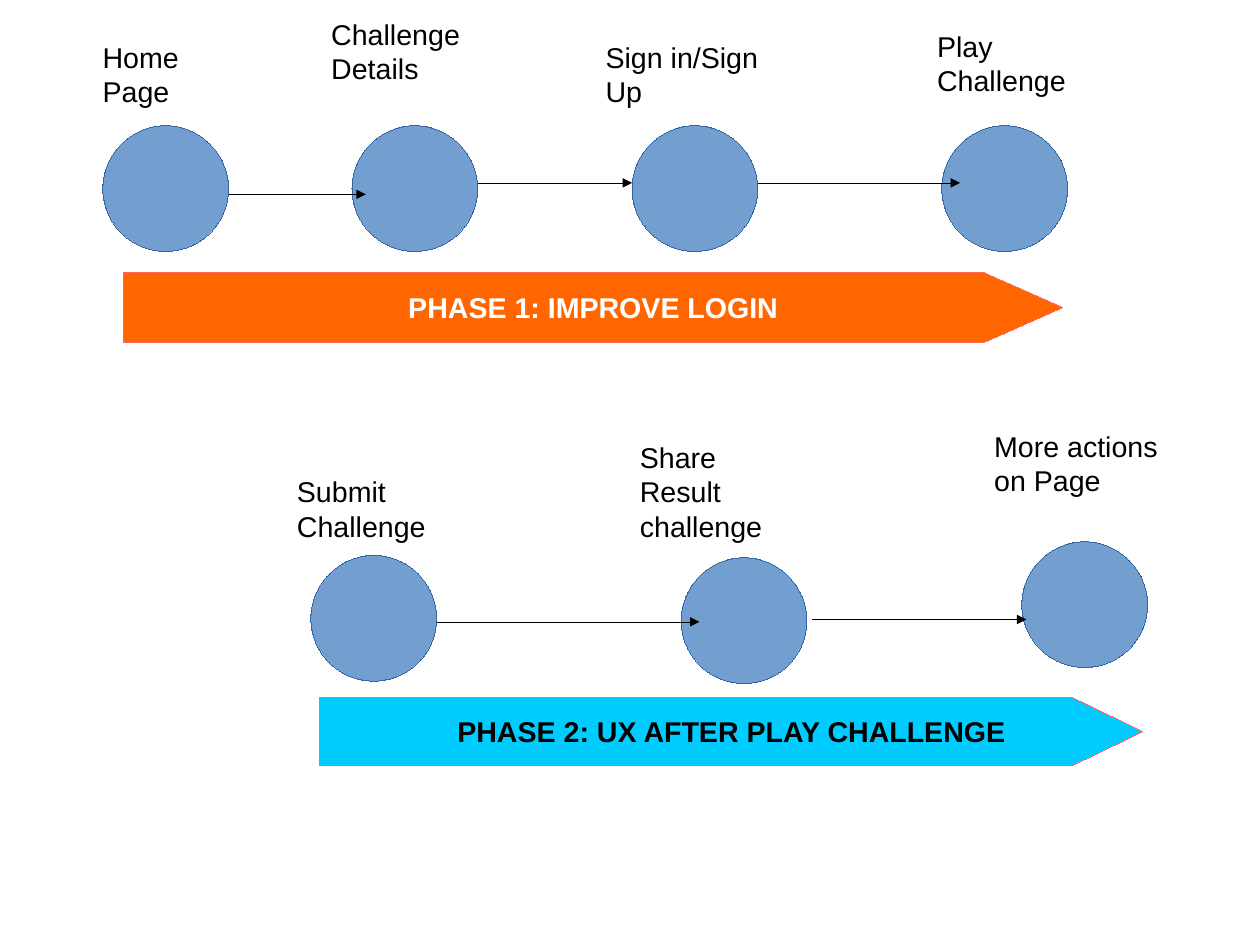
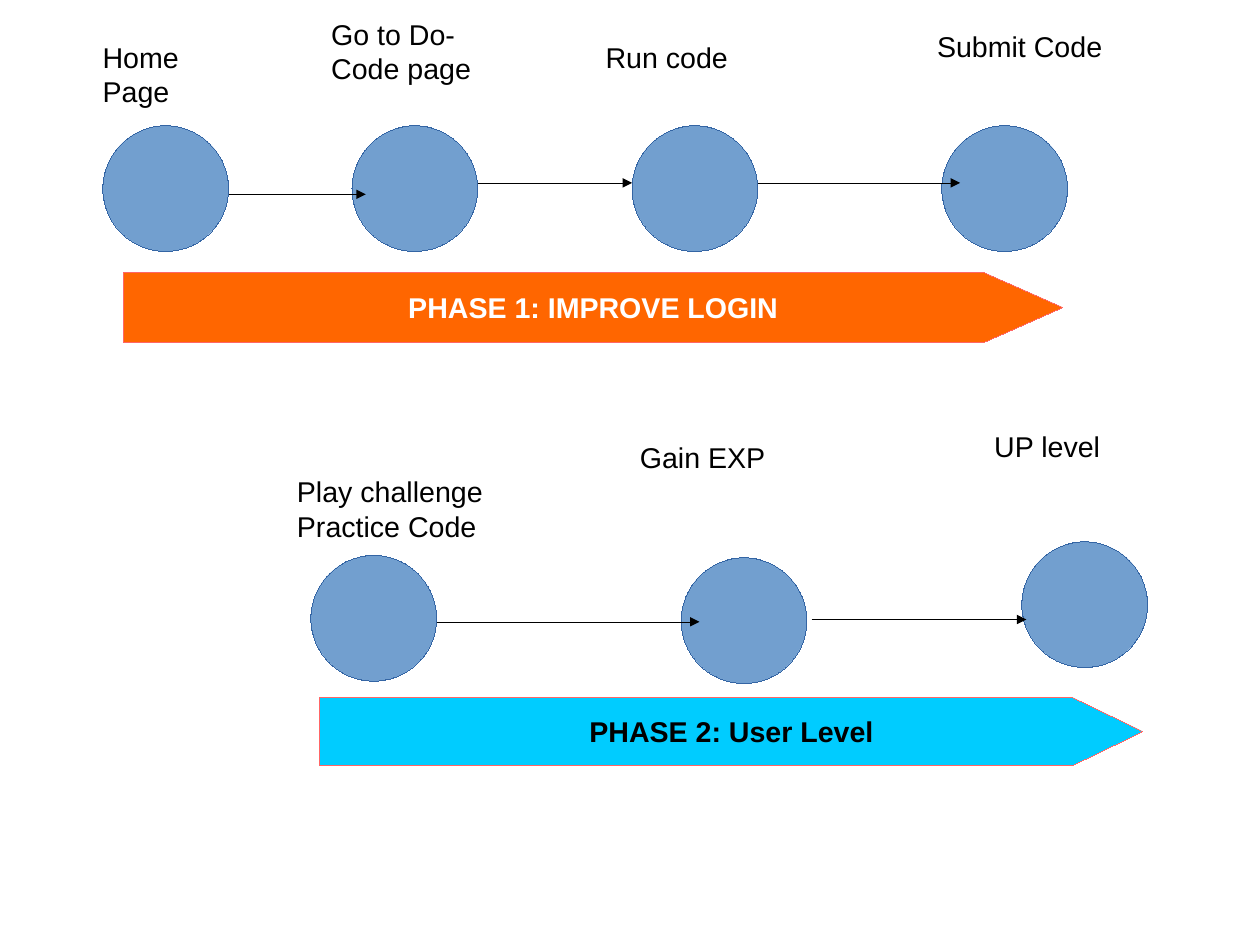
from lxml import etree
from pptx import Presentation
from pptx import util as u
from pptx.dml.color import RGBColor
from pptx.enum import shapes, text
from pptx.oxml import ns

# Shared layout, in points
DIAMETER = 79.2
CIRCLES = [
    (64.8, 79.2), (221.76, 79.2), (398.16, 79.2), (593.28, 79.2),
    (195.84, 349.92), (429.12, 351.36), (643.68, 341.28),
]
ARROWS = [  # start x, end x, y
    (144, 230.4, 122.4), (300.96, 398.16, 115.2), (477.36, 604.8, 115.2),
    (275.04, 440.64, 391.68), (511.2, 646.56, 390.24),
]
LABEL_PLACES = [
    (57.6, 21.6), (201.6, 7.2), (374.4, 21.6), (583.2, 14.4),
    (180, 295.2), (396, 273.6), (619.2, 266.4),
]
ONE_LINE, TWO_LINES, THREE_LINES = 27.36, 47.52, 67.68

# Words of each slide: labels (words, width, height) and second phase
SLIDES = [
    ([("Home\nPage", 100.8, TWO_LINES),
      ("Challenge\nDetails", 129.6, TWO_LINES),
      ("Sign in/Sign Up", 122.4, TWO_LINES),
      ("Play Challenge", 122.4, TWO_LINES),
      ("Submit Challenge", 122.4, TWO_LINES),
      ("Share\nResult challenge", 122.4, THREE_LINES),
      ("More actions on Page", 136.8, TWO_LINES)],
     "PHASE 2: UX AFTER PLAY CHALLENGE"),
    ([("Home\nPage", 100.8, TWO_LINES),
      ("Go to Do-Code page", 129.6, TWO_LINES),
      ("Run code", 122.4, ONE_LINE),
      ("Submit Code", 122.4, ONE_LINE),
      ("Play challenge\vPractice Code", 165.6, TWO_LINES),
      ("Gain EXP", 122.4, ONE_LINE),
      ("UP level", 136.8, ONE_LINE)],
     "PHASE 2: User Level"),
]


def color(value):
    return RGBColor.from_string(value)


def write(frame, words, font="Arial", size=18, ink="000000", bold=False,
          align=text.PP_ALIGN.LEFT, anchor=text.MSO_ANCHOR.TOP, wrap=True):
    frame.text = words
    frame.word_wrap = wrap
    frame.vertical_anchor = anchor
    for paragraph in frame.paragraphs:
        paragraph.alignment = align
        for run in paragraph.runs:
            run.font.name = font
            run.font.size = u.Pt(size)
            run.font.bold = bold
            run.font.color.rgb = color(ink)


class Flow:
    circle_fill, circle_line = "729FCF", "3465A4"
    arrow_line, banner_line = "000000", "FF6666"

    def __init__(self, presentation):
        self.presentation = presentation

    def new_slide(self):
        blank = self.presentation.slide_layouts[6]
        self.slide = self.presentation.slides.add_slide(blank)

    def hairline(self, line, ink):
        line.color.rgb = color(ink)
        outline = line._get_or_add_ln()
        outline.set("w", "0")  # a zero width set through line.width is dropped
        return outline

    def paint(self, shape, fill, ink):
        shape.shadow.inherit = False
        shape.fill.solid()
        shape.fill.fore_color.rgb = color(fill)
        self.hairline(shape.line, ink)

    def circle(self, left, top):
        shape = self.slide.shapes.add_shape(
            shapes.MSO_SHAPE.OVAL, u.Pt(left), u.Pt(top),
            u.Pt(DIAMETER), u.Pt(DIAMETER))
        self.paint(shape, self.circle_fill, self.circle_line)

    def arrow(self, start, end, y):
        connector = self.slide.shapes.add_connector(
            shapes.MSO_CONNECTOR.STRAIGHT,
            u.Pt(start), u.Pt(y), u.Pt(end), u.Pt(y))
        outline = self.hairline(connector.line, self.arrow_line)
        etree.SubElement(outline, ns.qn("a:tailEnd"), type="triangle")
        etree.SubElement(connector._element.spPr, ns.qn("a:effectLst"))

    def label(self, left, top, words, width, height):
        box = self.slide.shapes.add_textbox(
            u.Pt(left), u.Pt(top), u.Pt(width), u.Pt(height))
        write(box.text_frame, words)
        box.text_frame.auto_size = text.MSO_AUTO_SIZE.SHAPE_TO_FIT_TEXT

    def banner(self, words, left, top, body, tip, height, fill, ink):
        shoulder, bottom = left + body, top + height
        corners = [(shoulder, top), (shoulder + tip, top + height / 2),
                   (shoulder, bottom), (left, bottom)]
        builder = self.slide.shapes.build_freeform(u.Pt(left), u.Pt(top))
        builder.add_line_segments(
            [(u.Pt(x), u.Pt(y)) for x, y in corners], close=True)
        shape = builder.convert_to_shape()
        self.paint(shape, fill, self.banner_line)
        write(shape.text_frame, words, ink=ink, bold=True, wrap=False,
              align=text.PP_ALIGN.CENTER, anchor=text.MSO_ANCHOR.MIDDLE)


presentation = Presentation()
presentation.slide_width = u.Pt(793.7)
presentation.slide_height = u.Pt(595.28)
flow = Flow(presentation)

for labels, second_phase in SLIDES:
    flow.new_slide()
    # Steps and the arrows between them
    for place in CIRCLES:
        flow.circle(*place)
    for ends in ARROWS:
        flow.arrow(*ends)
    for place, label in zip(LABEL_PLACES, labels):
        flow.label(*place, *label)
    # Phase banners
    flow.banner("PHASE 1: IMPROVE LOGIN", 77.76, 171.36, 541.44, 50.4, 44.64,
                fill="FF6600", ink="FFFFFF")
    flow.banner(second_phase, 201.6, 439.2, 473.76, 44.64, 43.2,
                fill="00CCFF", ink="000000")

presentation.save("out.pptx")
